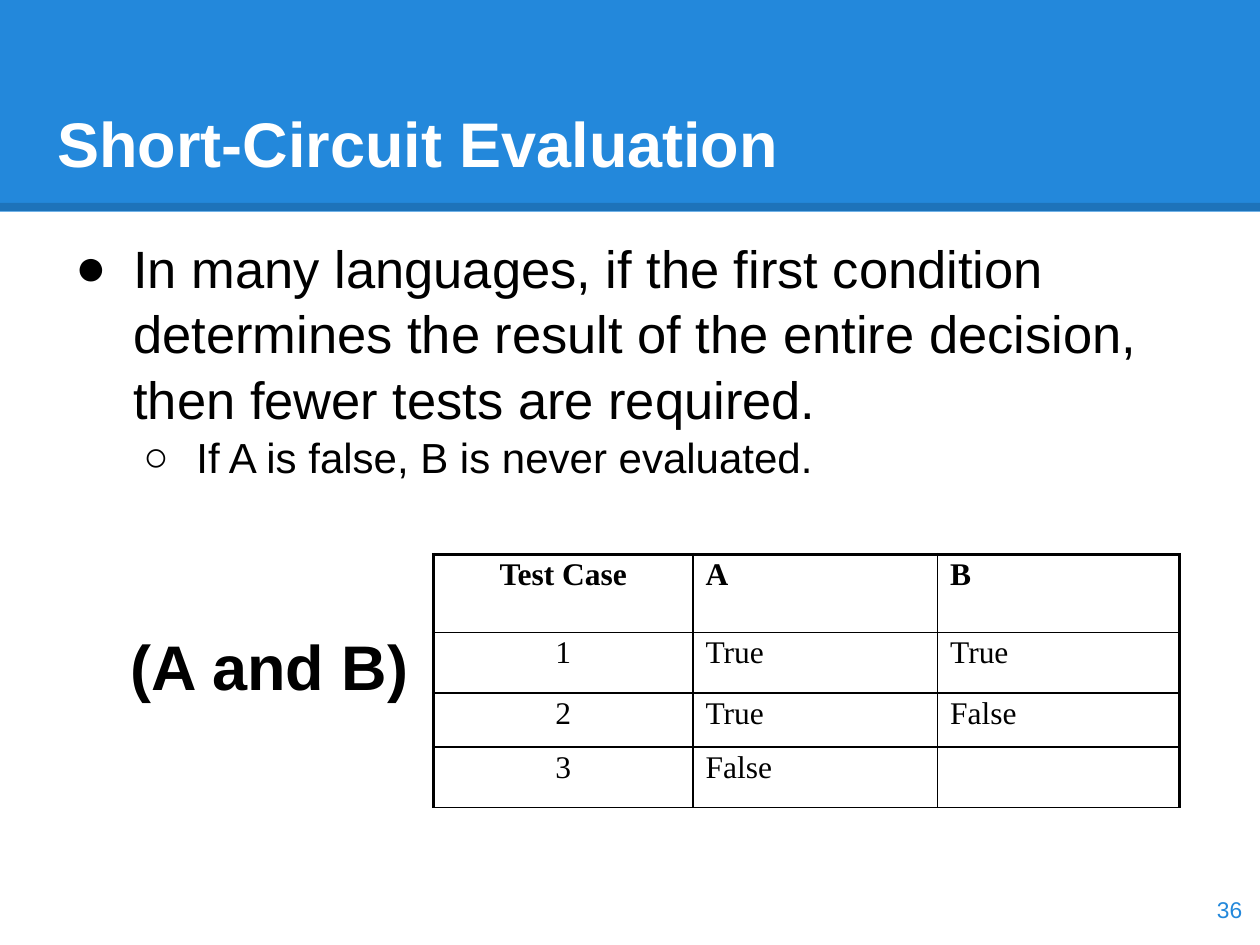
from lxml import etree
from pptx import Presentation
from pptx.dml.color import RGBColor
from pptx.enum import shapes, text
from pptx.oxml import ns
from pptx.util import Cm, Pt

BLUE = RGBColor(0x23, 0x88, 0xDB)
BLACK = RGBColor(0, 0, 0)
WHITE = RGBColor(0xFF, 0xFF, 0xFF)

TEST_CASES = [
    ("Test Case", "A", "B"),
    ("1", "True", "True"),
    ("2", "True", "False"),
    ("3", "False", ""),
]
COLUMN_WIDTHS = (5.23, 4.93, 4.88)
ROW_HEIGHTS = (1.57, 1.22, 1.09, 1.22)


def add_element(parent, tag, **attributes):
    return etree.SubElement(parent, ns.qn(tag), attributes)


def style(paragraph, size, color=BLACK, bold=False, font="Arial"):
    paragraph.font.name = font
    paragraph.font.size = Pt(size)
    paragraph.font.bold = bold
    paragraph.font.color.rgb = color


def add_text(slide, box, insets, lines, anchor=text.MSO_ANCHOR.TOP):
    """Add a wrapped text box and return its paragraphs."""
    frame = slide.shapes.add_textbox(*map(Cm, box)).text_frame
    frame.word_wrap = True
    frame.vertical_anchor = anchor
    (frame.margin_left, frame.margin_top,
     frame.margin_right, frame.margin_bottom) = map(Cm, insets)
    frame.text = "\n".join(lines)
    return frame.paragraphs


def set_bullet(paragraph, character, margin, hanging):
    properties = paragraph._p.get_or_add_pPr()
    properties.set("marL", str(Cm(margin)))
    properties.set("indent", str(-Cm(hanging)))
    color = add_element(properties, "a:buClr")
    add_element(color, "a:srgbClr", val=str(BLACK))
    add_element(properties, "a:buFont", typeface="Arial")
    add_element(properties, "a:buChar", char=character)


def add_header_band(slide):
    band = slide.shapes.add_shape(
        shapes.MSO_SHAPE.RECTANGLE, 0, 0, Cm(25.4), Cm(4.27))
    band.shadow.inherit = False
    band.fill.solid()
    band.fill.fore_color.rgb = BLUE
    band.line.fill.background()

    # Translucent rule that darkens the band's lower edge
    edge = slide.shapes.add_connector(
        shapes.MSO_CONNECTOR.STRAIGHT, 0, Cm(4.17), Cm(25.4), Cm(4.17))
    edge.line.width = Pt(4.5)
    edge.line.color.rgb = BLACK
    add_element(edge._element.spPr, "a:effectLst")
    for color in edge._element.spPr.iter(ns.qn("a:srgbClr")):
        add_element(color, "a:alpha", val="15000")


def set_borders(cell, widths):
    """Draw the left, right, top and bottom borders, ahead of the fill."""
    properties = cell._tc.get_or_add_tcPr()
    for position, (side, width) in enumerate(zip("LRTB", widths)):
        border = add_element(properties, f"a:ln{side}", w=str(Pt(width)))
        fill = add_element(border, "a:solidFill")
        add_element(fill, "a:srgbClr", val=str(BLACK))
        properties.insert(position, border)


def add_test_table(slide):
    table = slide.shapes.add_table(
        len(TEST_CASES), len(COLUMN_WIDTHS), Cm(8.74), Cm(11.18),
        Cm(sum(COLUMN_WIDTHS)), Cm(sum(ROW_HEIGHTS))).table
    for column, width in zip(table.columns, COLUMN_WIDTHS):
        column.width = Cm(width)
    last = len(COLUMN_WIDTHS) - 1
    for r, (values, height) in enumerate(zip(TEST_CASES, ROW_HEIGHTS)):
        table.rows[r].height = Cm(height)
        for c, value in enumerate(values):
            cell = table.cell(r, c)
            cell.fill.background()
            cell.text_frame.text = value
            entry = cell.text_frame.paragraphs[0]
            entry.line_spacing = 0.9
            if c == 0:
                entry.alignment = text.PP_ALIGN.CENTER
            style(entry, 18, bold=r == 0, font="Times New Roman")
            thick_sides = (c == 0, c == last, r == 0, False)
            set_borders(cell, [2.25 if thick else 1 for thick in thick_sides])


def main():
    presentation = Presentation()
    presentation.slide_width = Cm(25.4)
    presentation.slide_height = Cm(19.05)
    slide = presentation.slides.add_slide(presentation.slide_layouts[6])

    # Header
    add_header_band(slide)
    title, = add_text(slide, (0.91, 1.27, 22.86, 3.18),
                      (0.25, 0.13, 0.13, 0.13),
                      ["Short-Circuit Evaluation"], text.MSO_ANCHOR.MIDDLE)
    style(title, 36, WHITE, bold=True)

    # Explanation
    rule, example = add_text(
        slide, (1.27, 4.45, 22.86, 13.79), (0.15, 0.25, 0.25, 0.13),
        ["In many languages, if the first condition determines the result "
         "of the entire decision, then fewer tests are required.",
         "If A is false, B is never evaluated."])
    example.level = 1
    rule.line_spacing = example.line_spacing = 1.04
    set_bullet(rule, "●", 1.27, 1.17)
    set_bullet(example, "○", 2.54, 1.07)
    style(rule, 30)
    style(example, 24)

    # Decision and its test cases
    add_test_table(slide)
    even_insets = (0.25,) * 4
    decision, = add_text(slide, (2.39, 12.4, 6.53, 2.13), even_insets,
                         ["(A and B)"])
    style(decision, 36, bold=True)

    # Slide number
    number, = add_text(slide, (23.77, 17.6, 1.52, 1.45), even_insets,
                       ["36"], text.MSO_ANCHOR.MIDDLE)
    number.alignment = text.PP_ALIGN.RIGHT
    style(number, 13, BLUE)

    presentation.save("out.pptx")


if __name__ == "__main__":
    main()
